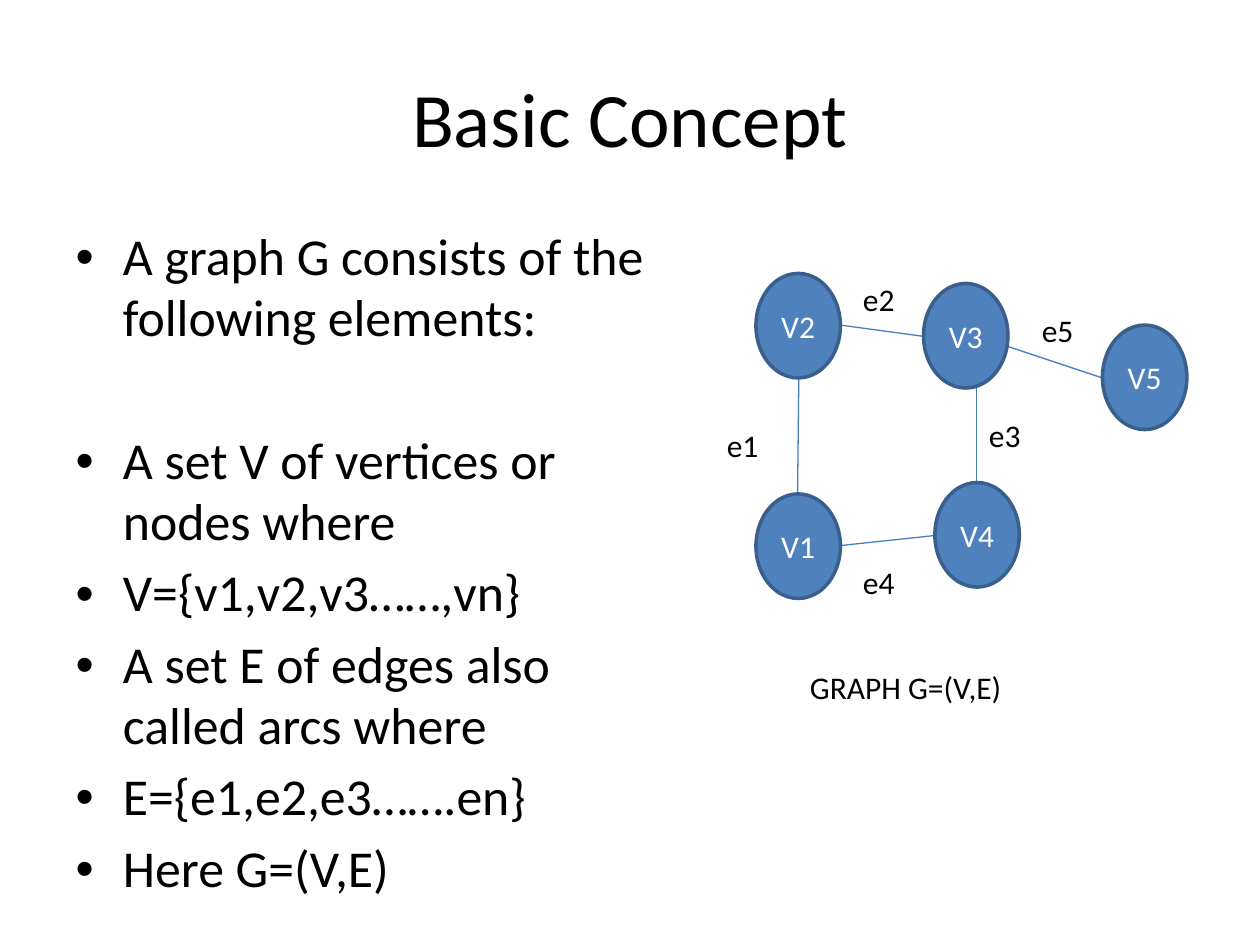
from dataclasses import dataclass
from lxml.etree import SubElement
from pptx import Presentation
from pptx.dml.color import RGBColor
from pptx.enum.shapes import MSO_CONNECTOR, MSO_SHAPE
from pptx.enum.text import MSO_ANCHOR, MSO_AUTO_SIZE, PP_ALIGN
from pptx.oxml.ns import qn
from pptx.util import Inches, Pt


@dataclass(frozen=True)
class Theme:
    font: str = "Calibri"
    text: str = "000000"
    node_text: str = "FFFFFF"
    node_fill: str = "4F81BD"
    node_line: str = "3A5F8C"
    edge: str = "4B7EBC"
    title_size: float = 44
    body_size: float = 29.6
    label_size: float = 18
    para_gap: float = 6
    section_gap: float = 47


class SlideBuilder:
    def __init__(self, s, theme):
        self.s = s
        self.theme = theme

    def run(self, p, text, size, color):
        r = p.add_run()
        r.text = text
        r.font.name = self.theme.font
        r.font.size = Pt(size)
        r.font.color.rgb = RGBColor.from_string(color)

    def place(self, sp, x, y, w, h):
        sp.left, sp.top, sp.width, sp.height = map(Inches, (x, y, w, h))

    def title(self, text, *box):
        sp = self.s.shapes.title
        self.place(sp, *box)
        tf = sp.text_frame
        tf.vertical_anchor = MSO_ANCHOR.MIDDLE
        p = tf.paragraphs[0]
        p.alignment = PP_ALIGN.CENTER
        self.run(p, text, self.theme.title_size, self.theme.text)

    def bullets(self, sections, *box):
        sp = self.s.placeholders[1]
        self.place(sp, *box)
        tf = sp.text_frame
        tf.auto_size = MSO_AUTO_SIZE.NONE
        p = tf.paragraphs[0]
        for i, section in enumerate(sections):
            for j, text in enumerate(section):
                if i or j:
                    p = tf.add_paragraph()
                new_section = i > 0 and j == 0
                gap = self.theme.section_gap if new_section else self.theme.para_gap
                p.space_before = Pt(gap)
                p.line_spacing = 0.98
                self.run(p, text, self.theme.body_size, self.theme.text)

    def edge(self, x1, y1, x2, y2):
        c = self.s.shapes.add_connector(
            MSO_CONNECTOR.STRAIGHT, *map(Inches, (x1, y1, x2, y2)))
        c.line.color.rgb = RGBColor.from_string(self.theme.edge)
        c.line.width = Pt(0.75)
        SubElement(c._element.spPr, qn("a:effectLst"))

    def node(self, text, x, y):
        sp = self.s.shapes.add_shape(
            MSO_SHAPE.OVAL, *map(Inches, (x, y, 0.67, 0.83)))
        sp.shadow.inherit = False
        sp.fill.solid()
        sp.fill.fore_color.rgb = RGBColor.from_string(self.theme.node_fill)
        sp.line.color.rgb = RGBColor.from_string(self.theme.node_line)
        sp.line.width = Pt(2)
        tf = sp.text_frame
        tf.vertical_anchor = MSO_ANCHOR.MIDDLE
        p = tf.paragraphs[0]
        p.alignment = PP_ALIGN.CENTER
        self.run(p, text, self.theme.label_size, self.theme.node_text)

    def label(self, text, x, y, w=0.58):
        sp = self.s.shapes.add_textbox(*map(Inches, (x, y, w, 0.4)))
        tf = sp.text_frame
        tf.word_wrap = True
        tf.auto_size = MSO_AUTO_SIZE.SHAPE_TO_FIT_TEXT
        self.run(tf.paragraphs[0], text, self.theme.label_size, self.theme.text)


SECTIONS = [
    ["A graph G consists of the following elements:"],
    [
        "A set V of vertices or nodes where",
        "V={v1,v2,v3……,vn}",
        "A set E of edges also called arcs where",
        "E={e1,e2,e3…….en}",
        "Here G=(V,E)",
    ],
]
EDGES = [
    ("e1", (6.34, 3, 6.33, 3.92), (5.67, 3.33)),
    ("e2", (6.67, 2.58, 7.33, 2.67), (6.75, 2.17)),
    ("e3", (7.75, 3, 7.75, 3.83), (7.75, 3.25)),
    ("e4", (7.42, 4.25, 6.67, 4.33), (6.75, 4.42)),
    ("e5", (8, 2.75, 8.75, 3), (8.17, 2.42)),
]
NODES = [
    ("V1", 6, 3.92),
    ("V2", 6, 2.17),
    ("V3", 7.33, 2.25),
    ("V4", 7.42, 3.83),
    ("V5", 8.75, 2.58),
]


def main():
    prs = Presentation()
    prs.slide_width, prs.slide_height = Inches(10), Inches(7.5)
    s = prs.slides.add_slide(prs.slide_layouts[1])
    b = SlideBuilder(s, Theme())
    b.title("Basic Concept", 0.5, 0.3, 9, 1.25)
    b.bullets(SECTIONS, 0.5, 1.75, 4.83, 4.95)
    for _, ends, _ in EDGES:
        b.edge(*ends)
    for node in NODES:
        b.node(*node)
    for name, _, spot in EDGES:
        b.label(name, *spot)
    b.label("GRAPH G=(V,E)", 6.33, 5.25, 1.75)
    prs.save("out.pptx")


if __name__ == "__main__":
    main()
